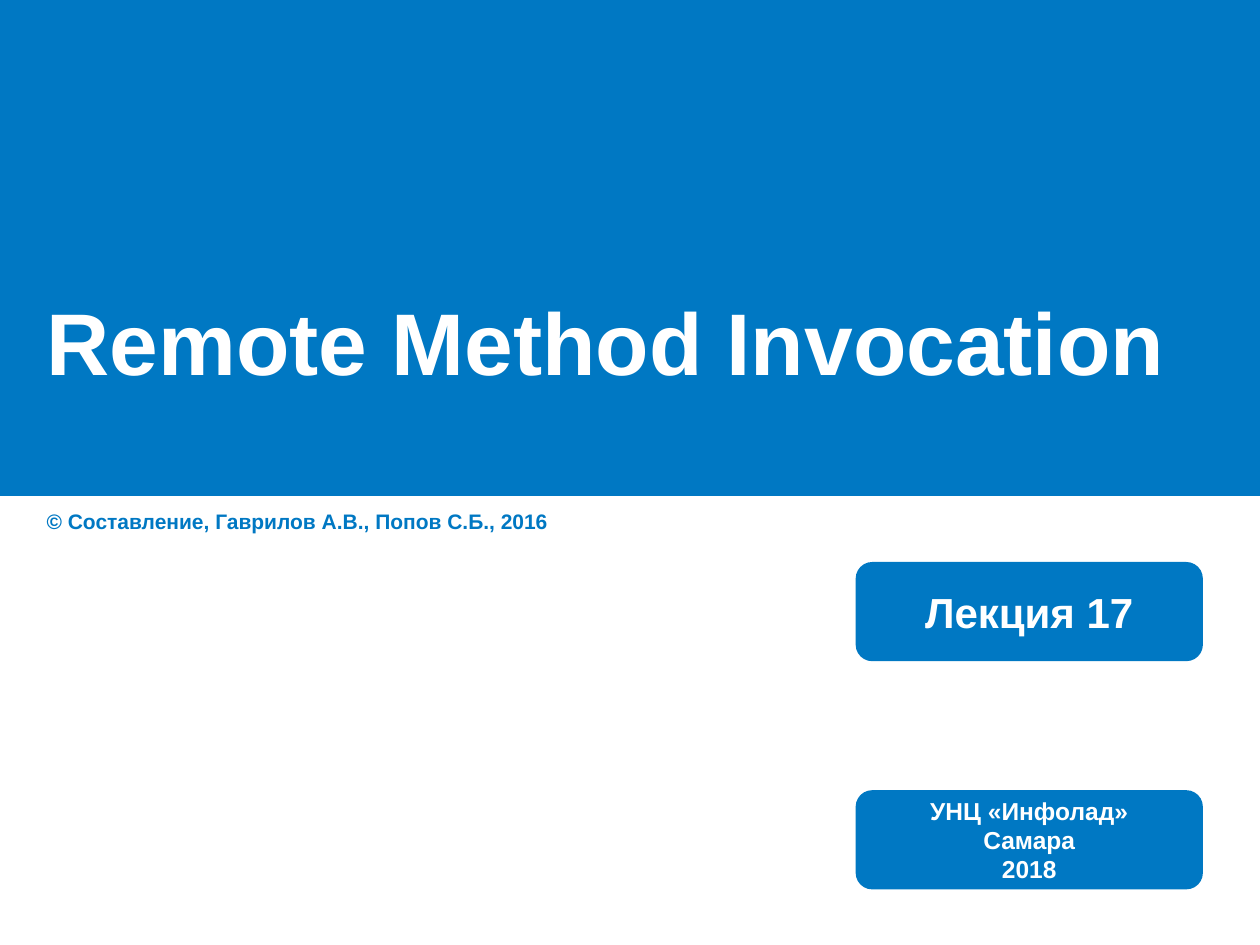
"""Build the title slide of a lecture on remote method invocation."""
from dataclasses import dataclass
from typing import Any

from pptx import Presentation
from pptx import util as u
from pptx.dml import color
from pptx.enum import shapes, text


@dataclass(frozen=True)
class Theme:
    blue: str = "0078C3"
    white: str = "FFFFFF"
    font: str = "Arial"
    title: int = 50
    badge: int = 24
    place: int = 14
    note: int = 12


@dataclass(frozen=True)
class Box:
    left: float
    top: float
    width: float
    height: float
    size: int = 0
    lines: tuple[str, ...] = ()

    def rect(self) -> list[u.Length]:
        return [u.Cm(n) for n in (self.left, self.top, self.width, self.height)]


LOOK = Theme()
KIND = shapes.MSO_SHAPE
MID = text.MSO_ANCHOR.MIDDLE
BAND = Box(0, 0, 25.4, 10)
TITLE = Box(0.69, 3.78, 24, 6.15, LOOK.title, ("Remote Method Invocation",))
NOTE = Box(0.69, 10.13, 12.4, 0.77, LOOK.note,
           ("© Составление, Гаврилов А.В., Попов С.Б., 2016",))
BADGES = (
    Box(17.25, 11.33, 7, 2, LOOK.badge, ("Лекция 17",)),
    Box(17.25, 15.93, 7, 2, LOOK.place, ("УНЦ «Инфолад»", "Самара", "2018")),
)


def apply(item: Any, form: dict[str, Any]) -> None:
    for key, value in form.items():
        setattr(item, key, value)


def write(shape: Any, box: Box, tone: str, align: Any, form: dict[str, Any]) -> None:
    frame = shape.text_frame
    frame.text = "\n".join(box.lines)
    apply(frame, form)
    face = {"name": LOOK.font, "size": u.Pt(box.size), "bold": True}
    for para in frame.paragraphs:
        para.alignment = align
        for run in para.runs:
            apply(run.font, face)
            run.font.color.rgb = color.RGBColor.from_string(tone)


def panel(slide: Any, box: Box, kind: Any) -> Any:
    shape = slide.shapes.add_shape(kind, *box.rect())
    shape.shadow.inherit = False
    shape.fill.solid()
    shape.fill.fore_color.rgb = color.RGBColor.from_string(LOOK.blue)
    shape.line.fill.background()
    return shape


def label(slide: Any, box: Box, tone: str, anchor: Any) -> None:
    form = {"word_wrap": True, "vertical_anchor": anchor}
    write(slide.shapes.add_textbox(*box.rect()), box, tone,
          text.PP_ALIGN.LEFT, form)


def badge(slide: Any, box: Box) -> None:
    form = {"word_wrap": False, "vertical_anchor": MID}
    write(panel(slide, box, KIND.ROUNDED_RECTANGLE), box, LOOK.white,
          text.PP_ALIGN.CENTER, form)


def main() -> None:
    deck = Presentation()
    apply(deck, {"slide_width": u.Cm(25.4), "slide_height": u.Cm(19.05)})
    slide = deck.slides.add_slide(deck.slide_layouts[6])
    panel(slide, BAND, KIND.RECTANGLE)
    label(slide, TITLE, LOOK.white, MID)
    label(slide, NOTE, LOOK.blue, text.MSO_ANCHOR.TOP)
    for box in BADGES:
        badge(slide, box)
    deck.save("out.pptx")


if __name__ == "__main__":
    main()
